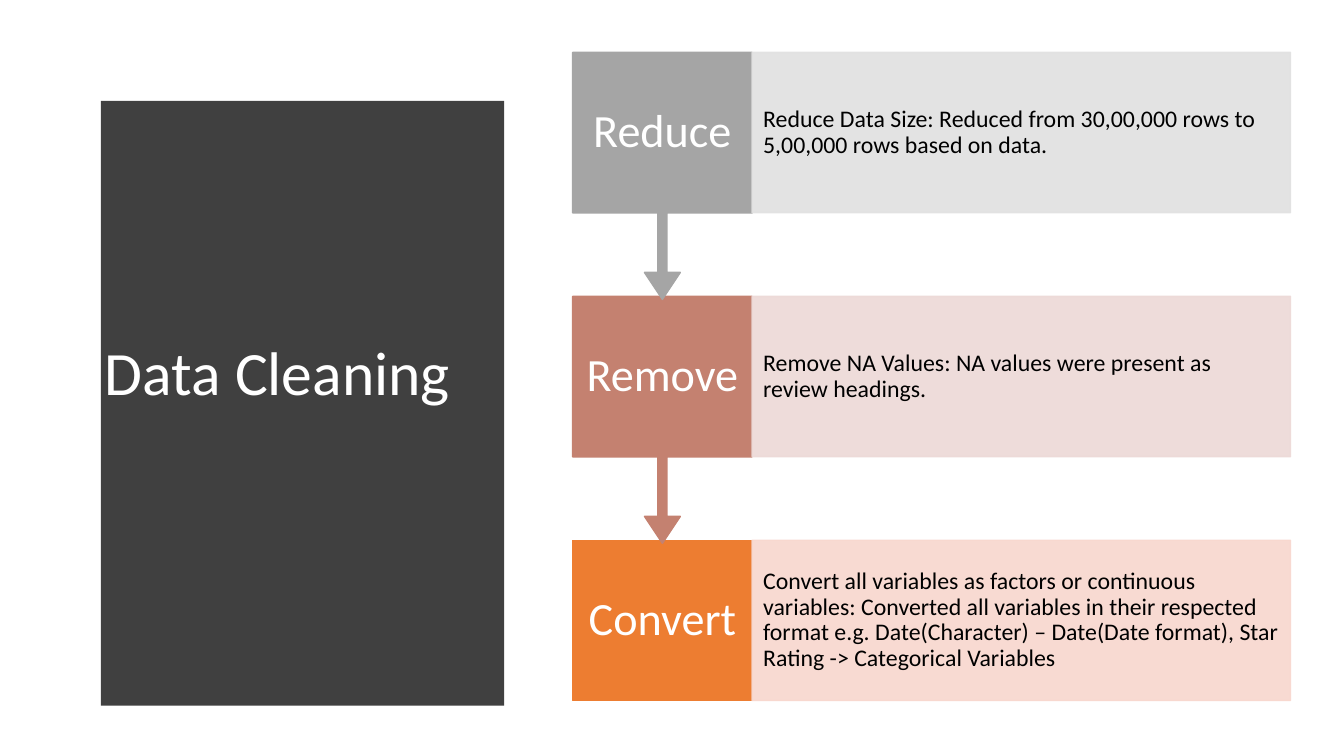
from lxml.etree import SubElement
from pptx import Presentation
from pptx.dml.color import RGBColor
from pptx.enum.shapes import MSO_SHAPE as Shape
from pptx.enum.text import MSO_ANCHOR as Anchor, PP_ALIGN as Align
from pptx.oxml.ns import qn
from pptx.util import Inches, Pt

WHITE = RGBColor(0xFF, 0xFF, 0xFF)
BLACK = RGBColor(0x00, 0x00, 0x00)
CHARCOAL = RGBColor(0x40, 0x40, 0x40)
GREY, PALE_GREY = RGBColor(0xA5, 0xA5, 0xA5), RGBColor(0xE1, 0xE1, 0xE1)
ROSE, PALE_ROSE = RGBColor(0xC4, 0x81, 0x70), RGBColor(0xED, 0xD9, 0xD7)
ORANGE, PALE_ORANGE = RGBColor(0xED, 0x7D, 0x31), RGBColor(0xF8, 0xD7, 0xCE)

TOP, BOTTOM = 0.52, 6.96
ROW_HEIGHT, ROW_PITCH, CALLOUT_HEIGHT = 1.59, 2.42, 2.45
LABEL_LEFT, LABEL_WIDTH = 5.68, 1.78
DETAIL_LEFT, DETAIL_WIDTH = LABEL_LEFT + LABEL_WIDTH, 5.34

STEPS = [
    ("Reduce", "Reduce Data Size: Reduced from 30,00,000 rows to 5,00,000 rows "
     "based on data.", GREY, PALE_GREY),
    ("Remove", "Remove NA Values: NA values were present as review headings.",
     ROSE, PALE_ROSE),
    ("Convert", "Convert all variables as factors or continuous variables: "
     "Converted all variables in their respected format e.g. Date(Character) – "
     "Date(Date format), Star Rating -> Categorical Variables",
     ORANGE, PALE_ORANGE),
]


def write(shape, text, size, color, align, inset_x, inset_y):
    """Put one vertically centred paragraph into the shape."""
    frame = shape.text_frame
    frame.word_wrap = True
    frame.vertical_anchor = Anchor.MIDDLE
    frame.margin_left = frame.margin_right = Inches(inset_x)
    frame.margin_top = frame.margin_bottom = Inches(inset_y)
    paragraph = frame.paragraphs[0]
    paragraph.alignment = align
    paragraph.line_spacing = 0.9
    run = paragraph.add_run()
    run.text = text
    run.font.name = "Calibri"
    run.font.size = Pt(size)
    run.font.color.rgb = color


def add_block(kind, left, top, width, height, color):
    block = slide.shapes.add_shape(
        kind, Inches(left), Inches(top), Inches(width), Inches(height))
    block.shadow.inherit = False
    block.fill.solid()
    block.fill.fore_color.rgb = color
    block.line.color.rgb = color
    block.line.width = Pt(1)
    return block


presentation = Presentation()
presentation.slide_width = Inches(13.33)
presentation.slide_height = Inches(7.5)
slide = presentation.slides.add_slide(presentation.slide_layouts[5])

# Dark panel whose right edge bulges as a parabola
PANEL_LEFT, CORNER_X, BULGE, EDGE_STEPS = 0.53, 5.08, 0.24, 40
edge = []
for step in range(EDGE_STEPS + 1):
    share = step / EDGE_STEPS
    edge.append((CORNER_X + BULGE * 4 * share * (1 - share),
                 TOP + (BOTTOM - TOP) * share))
builder = slide.shapes.build_freeform(PANEL_LEFT, TOP, scale=Inches(1))
builder.add_line_segments(edge + [(PANEL_LEFT, BOTTOM)], close=True)
panel = builder.convert_to_shape()
panel.shadow.inherit = False
panel.fill.solid()
panel.fill.fore_color.rgb = CHARCOAL
panel.line.fill.background()

title = slide.shapes.title
title._element.addprevious(panel._element)  # panel goes behind the title
title.left, title.top = Inches(0.94), Inches(1.11)
title.width, title.height = Inches(3.74), Inches(5.24)
write(title, "Data Cleaning", 44, WHITE, Align.LEFT, 0.1, 0.05)

# Last step first, so that each arrow tip lies over the step below it
for row, (name, detail, color, pale) in reversed(list(enumerate(STEPS))):
    top = TOP + row * ROW_PITCH
    if row == len(STEPS) - 1:
        label = add_block(Shape.RECTANGLE, LABEL_LEFT, top,
                          LABEL_WIDTH, ROW_HEIGHT, color)
    else:
        label = add_block(Shape.DOWN_ARROW_CALLOUT, LABEL_LEFT, top,
                          LABEL_WIDTH, CALLOUT_HEIGHT, color)
        for index, share in enumerate((0.05, 0.1, 0.15, 0.65)):
            label.adjustments[index] = share
    write(label, name, 33, WHITE, Align.CENTER, 0.13, 0.26)

    box = add_block(Shape.RECTANGLE, DETAIL_LEFT, top,
                    DETAIL_WIDTH, ROW_HEIGHT, pale)
    for pale_color in box._element.spPr.iter(qn("a:srgbClr")):
        SubElement(pale_color, qn("a:alpha"), val="90000")
    write(box, detail, 17, BLACK, Align.LEFT, 0.11, 0.24)

presentation.save("out.pptx")
